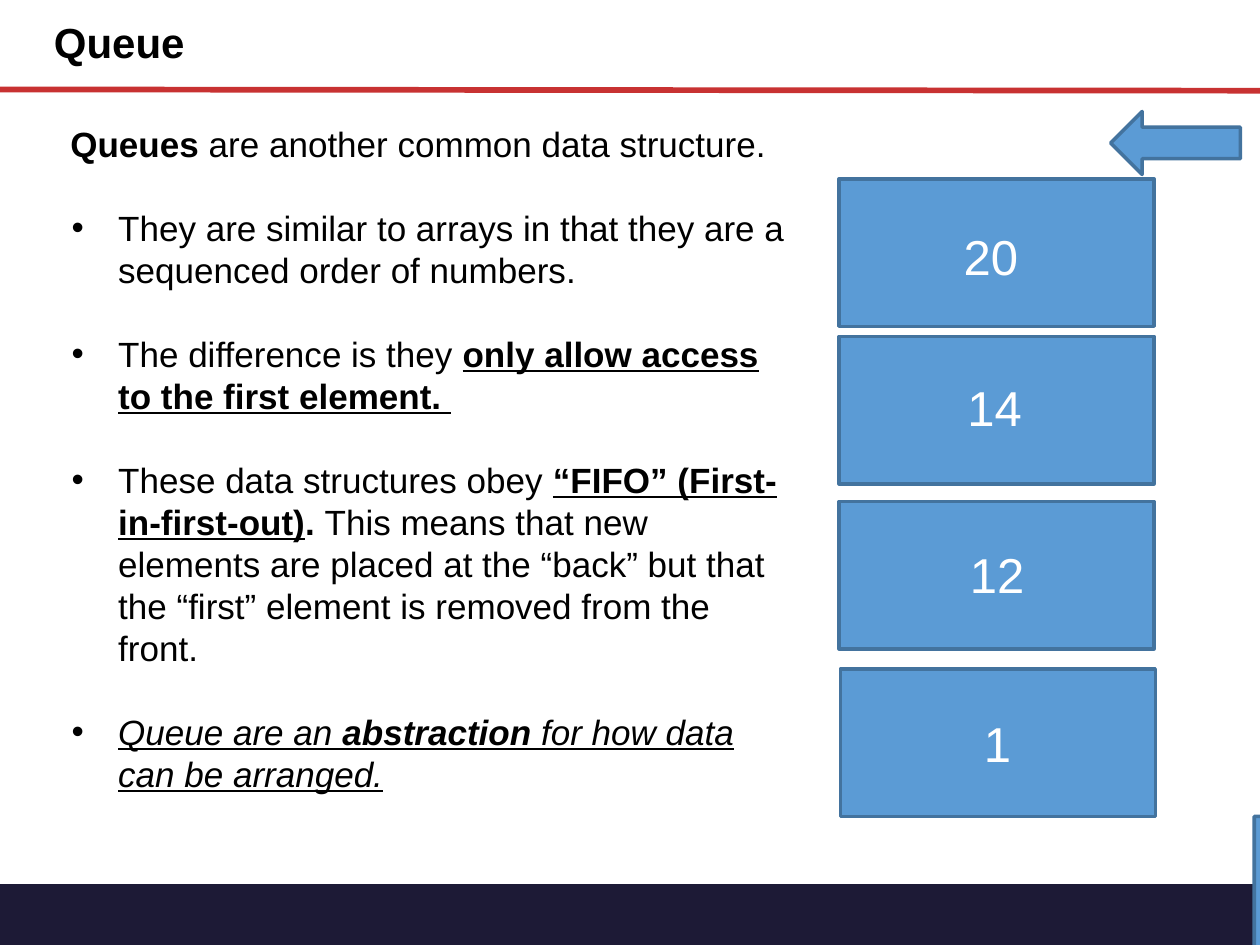
from lxml import etree
from pptx import Presentation
from pptx import util as u
from pptx.dml.color import RGBColor
from pptx.enum import shapes, text
from pptx.oxml.ns import qn

BLACK = RGBColor(0x00, 0x00, 0x00)
WHITE = RGBColor(0xFF, 0xFF, 0xFF)
NAVY = RGBColor(0x1D, 0x1A, 0x36)
RED = RGBColor(0xC8, 0x32, 0x32)
BLUE = RGBColor(0x5B, 0x9B, 0xD5)
EDGE = RGBColor(0x43, 0x73, 0x9E)

COLUMNS, ROWS = 100, 75


class QueueSlide:
    font = "Arial"

    def __init__(self, deck):
        self.slide = deck.slides.add_slide(deck.slide_layouts[6])
        self.column = deck.slide_width / COLUMNS
        self.row = deck.slide_height / ROWS

    def place(self, left, top, width, height):
        return (round(left * self.column), round(top * self.row),
                round(width * self.column), round(height * self.row))

    def block(self, kind, area, fill, edge=None):
        block = self.slide.shapes.add_shape(kind, *self.place(*area))
        block.shadow.inherit = False
        block.fill.solid()
        block.fill.fore_color.rgb = fill
        if edge is None:
            block.line.fill.background()
        else:
            block.line.color.rgb = edge
            block.line.width = u.Pt(2)

    def rule(self, left, top, right, bottom, color, weight):
        rule = self.slide.shapes.add_connector(
            shapes.MSO_CONNECTOR.STRAIGHT, *self.place(left, top, right, bottom))
        rule.line.color.rgb = color
        rule.line.width = u.Pt(weight)
        etree.SubElement(rule._element.spPr, qn("a:effectLst"))

    def frame(self, area, wrap=True, anchor=text.MSO_ANCHOR.TOP):
        frame = self.slide.shapes.add_textbox(*self.place(*area)).text_frame
        frame.word_wrap = wrap
        frame.vertical_anchor = anchor
        return frame

    def style(self, paragraph, size, color, bold=None):
        paragraph.font.name = self.font
        paragraph.font.size = u.Pt(size)
        paragraph.font.color.rgb = color
        paragraph.font.bold = bold

    def title(self, area, wording):
        frame = self.frame(area, anchor=text.MSO_ANCHOR.MIDDLE)
        heading = frame.paragraphs[0]
        heading.text = wording
        heading.line_spacing = 0.9
        self.style(heading, 24, BLACK, True)

    def number(self, area, value):
        figure = self.frame(area, wrap=False).paragraphs[0]
        figure.text = value
        self.style(figure, 28, WHITE)

    def bullet(self, paragraph):
        properties = paragraph._p.get_or_add_pPr()
        properties.set("marL", str(u.Inches(0.38)))
        properties.set("indent", str(u.Inches(-0.37)))
        etree.SubElement(properties, qn("a:buFont"), typeface=self.font)
        etree.SubElement(properties, qn("a:buChar"), char="•")

    def body(self, area, points):
        frame = self.frame(area)
        for index, point in enumerate(points):
            paragraph = frame.add_paragraph() if index else frame.paragraphs[0]
            if index:
                paragraph.space_before = u.Pt(24)
                self.bullet(paragraph)
            self.style(paragraph, 20, BLACK)
            for wording, marks in point:
                run = paragraph.add_run()
                run.text = wording
                run.font.bold = "b" in marks or None
                run.font.italic = "i" in marks or None
                run.font.underline = "u" in marks or None


POINTS = [
    [("Queues ", "b"), ("are another common data structure.", "")],
    [("They are similar to arrays in that they are a sequenced order of numbers.", "")],
    [("The difference is they ", ""), ("only allow access to the first element. ", "bu")],
    [("These data structures obey ", ""), ("“FIFO” (First-in-first-out)", "bu"), (". ", "b"),
     ("This means that new elements are placed at the “back” but that the “first” "
      "element is removed from the front.", "")],
    [("Queue are an ", "iu"), ("abstraction ", "biu"), ("for how data can be arranged.", "iu")],
]

ELEMENTS = [
    ("1", (66.7, 53.1), (77.1, 56.1, 4.1)),
    ("12", (66.6, 39.8), (76, 42.7, 6.3)),
    ("14", (66.6, 26.7), (75.8, 29.5, 6.3)),
    ("20", (66.6, 14.2), (75.5, 17.5, 6.3)),
]


def main():
    deck = Presentation()
    deck.slide_width, deck.slide_height = u.Inches(10), u.Inches(7.5)
    queue = QueueSlide(deck)
    shape = shapes.MSO_SHAPE

    queue.block(shape.FLOWCHART_PROCESS, (0, 70.2, 100.1, 5), NAVY)
    queue.rule(0, 7.1, 100, 7.2, RED, 3.25)
    queue.title((3.3, 0, 91.7, 7.1), "Queue")
    for value, corner, label in ELEMENTS:
        queue.block(shape.RECTANGLE, (*corner, 25, 11.7), BLUE, EDGE)
        queue.number((*label, 5.7), value)
    queue.block(shape.DOWN_ARROW, (98.3, 64.8, 5, 47.2), BLUE, EDGE)
    queue.block(shape.LEFT_ARROW, (88.15, 8.85, 10.3, 5), BLUE, EDGE)
    queue.body((4.6, 9.2, 58.8, 54.3), POINTS)

    deck.save("out.pptx")


if __name__ == "__main__":
    main()
